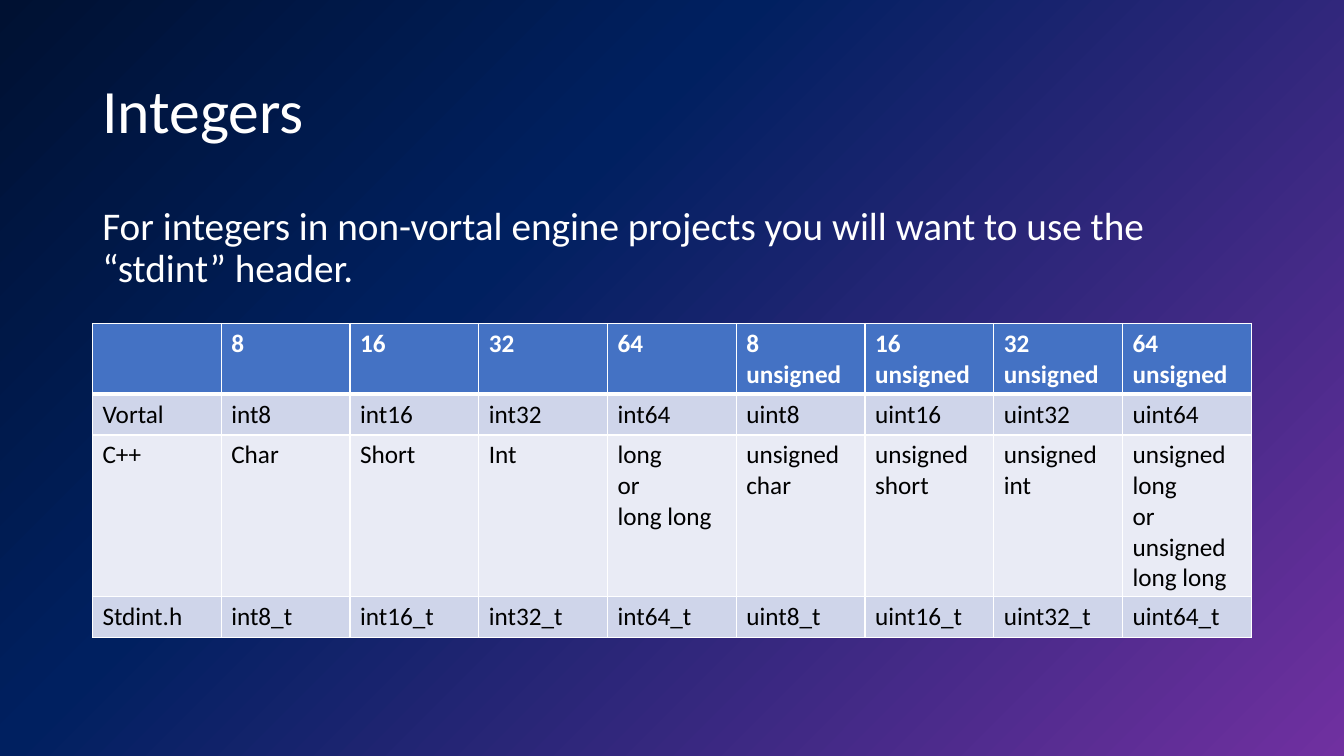
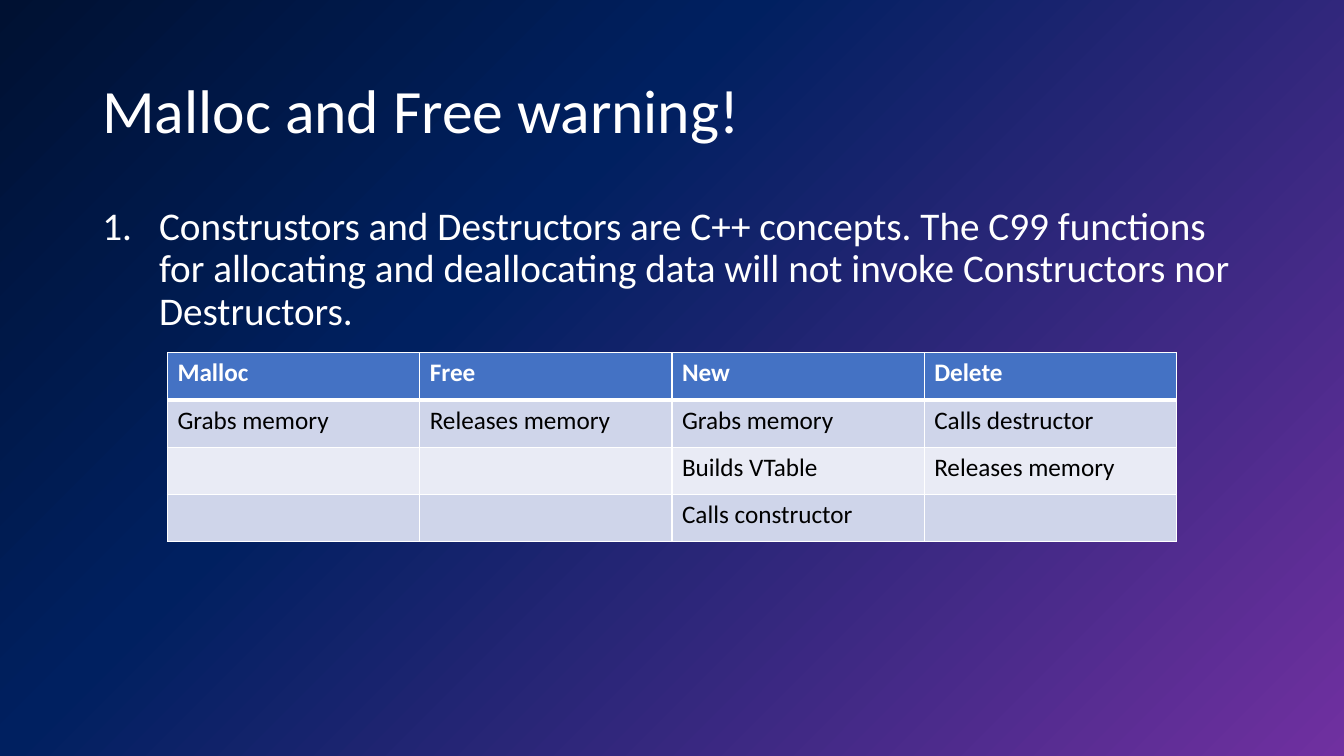
from copy import deepcopy
from dataclasses import dataclass

from pptx import Presentation
from pptx.dml.color import RGBColor as Rgb
from pptx.enum.text import MSO_ANCHOR as Anchor
from pptx.oxml.ns import qn
from pptx.oxml.xmlchemy import OxmlElement as Node
from pptx.slide import Slide
from pptx.util import Cm, Pt


@dataclass(frozen=True)
class Theme:
    font: str = "Calibri"
    light: str = "FFFFFF"
    dark: str = "000000"
    head: str = "4472C4"
    bands: tuple[str, str] = ("CFD5EA", "E9EBF5")
    stops: tuple[tuple[float, str], ...] = (
        (0, "7030A0"), (0.64, "002060"), (1, "001132"))
    angle: int = 135
    title: int = 44
    body: int = 28
    cell: int = 18
    thin: int = 1
    thick: int = 3


@dataclass(frozen=True)
class Box:
    left: float
    top: float
    width: float
    height: float

    def size(self) -> tuple[Cm, Cm, Cm, Cm]:
        return Cm(self.left), Cm(self.top), Cm(self.width), Cm(self.height)


@dataclass(frozen=True)
class Grid:
    left: float
    top: float
    width: float
    row: float
    cells: list[list[str]]


@dataclass(frozen=True)
class Page:
    title: str
    body: str
    height: float
    grid: Grid
    listed: bool = False


THEME = Theme()
LEFT, WIDE = 2.33, 29.21
TITLE = Box(LEFT, 1.02, WIDE, 3.68)
BODY_TOP = 5.08
INDENT = 1.43

BITS = ["8", "16", "32", "64"]
KINDS = ["int", "uint"]
PAGES = [
    Page(
        "Integers",
        "For integers in non-vortal engine projects you will want to use the "
        "“stdint” header.",
        2.72,
        Grid(LEFT, 8.15, WIDE, 1.03, [
            ["", *BITS, *(f"{bit} unsigned" for bit in BITS)],
            ["Vortal", *(kind + bit for kind in KINDS for bit in BITS)],
            ["C++", "Char", "Short", "Int", "long\nor\nlong long",
             "unsigned char", "unsigned short", "unsigned int",
             "unsigned long\vor\vunsigned long long"],
            ["Stdint.h", *(f"{kind}{bit}_t" for kind in KINDS for bit in BITS)],
        ]),
    ),
    Page(
        "Malloc and Free warning!",
        "Construstors and Destructors are C++ concepts. The C99 functions for "
        "allocating and deallocating data will not invoke Constructors nor "
        "Destructors.",
        12.09,
        Grid(4.22, 8.89, 25.43, 1.19, [
            ["Malloc", "Free", "New", "Delete"],
            ["Grabs memory", "Releases memory", "Grabs memory",
             "Calls destructor"],
            ["", "", "Builds VTable", "Releases memory"],
            ["", "", "Calls constructor", ""],
        ]),
        listed=True,
    ),
]


def style(para, size: int, color: str, bold: bool = False) -> None:
    font = para.font
    font.name, font.size, font.bold = THEME.font, Pt(size), bold
    font.color.rgb = Rgb.from_string(color)


def paint(slide: Slide) -> None:
    """Fill the background with the theme's gradient."""
    fill = slide.background.fill
    fill.gradient()
    fill.gradient_angle = THEME.angle
    stops = slide.element.find(".//" + qn("a:gsLst"))
    stops.append(deepcopy(stops[-1]))
    for stop, (place, color) in zip(fill.gradient_stops, THEME.stops):
        stop.position = place
        stop.color.rgb = Rgb.from_string(color)


def write(slide: Slide, box: Box, text: str, size: int):
    """Add a text box and return its frame."""
    frame = slide.shapes.add_textbox(*box.size()).text_frame
    frame.word_wrap = True
    frame.text = text
    para = frame.paragraphs[0]
    para.line_spacing = 0.9
    style(para, size, THEME.light)
    return frame


def number(para) -> None:
    """Turn a paragraph into a numbered item with a hanging indent."""
    props = para._p.get_or_add_pPr()
    props.set("marL", str(Cm(INDENT)))
    props.set("indent", str(-Cm(INDENT)))
    mark = Node("a:buAutoNum")
    mark.set("type", "arabicPeriod")
    props.insert(list(props).index(props.find(qn("a:defRPr"))), mark)


def edge(cell, side: str, width: int) -> None:
    line = Node(f"a:ln{side}")
    line.set("w", str(Pt(width)))
    fill, color = Node("a:solidFill"), Node("a:srgbClr")
    color.set("val", THEME.light)
    fill.append(color)
    line.append(fill)
    cell._tc.get_or_add_tcPr().append(line)


def dress(cell, text: str, row: int) -> None:
    """Give a cell its text, borders and fill by row."""
    head = row == 0
    cell.text = text
    for para in cell.text_frame.paragraphs:
        style(para, THEME.cell, THEME.light if head else THEME.dark, head)
    for side in "LRTB":
        wide = (side, row) in (("B", 0), ("T", 1))
        edge(cell, side, THEME.thick if wide else THEME.thin)
    cell.fill.solid()
    color = THEME.head if head else THEME.bands[(row - 1) % 2]
    cell.fill.fore_color.rgb = Rgb.from_string(color)


def tabulate(slide: Slide, grid: Grid) -> None:
    rows, cols = len(grid.cells), len(grid.cells[0])
    box = Box(grid.left, grid.top, grid.width, grid.row * rows)
    table = slide.shapes.add_table(rows, cols, *box.size()).table
    for row, texts in enumerate(grid.cells):
        for col, text in enumerate(texts):
            dress(table.cell(row, col), text, row)


def draw(slide: Slide, page: Page) -> None:
    paint(slide)
    title = write(slide, TITLE, page.title, THEME.title)
    title.vertical_anchor = Anchor.MIDDLE
    box = Box(LEFT, BODY_TOP, WIDE, page.height)
    para = write(slide, box, page.body, THEME.body).paragraphs[0]
    para.space_before = Pt(10)
    if page.listed:
        number(para)
    tabulate(slide, page.grid)


def main() -> None:
    deck = Presentation()
    deck.slide_width, deck.slide_height = Cm(33.87), Cm(19.05)
    blank = deck.slide_layouts[6]
    for page in PAGES:
        draw(deck.slides.add_slide(blank), page)
    deck.save("out.pptx")


if __name__ == "__main__":
    main()
